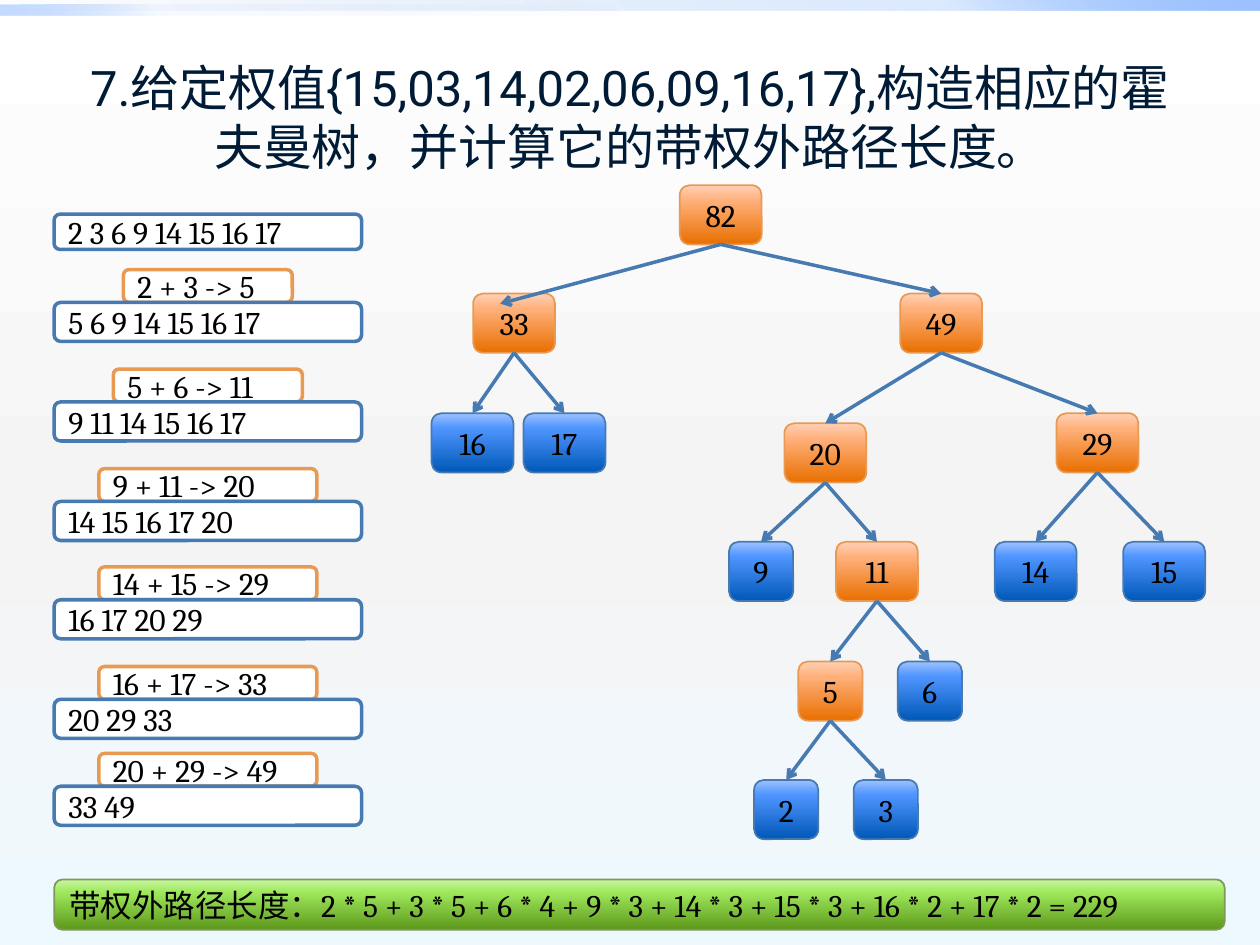
from pptx import Presentation
from pptx.dml.color import RGBColor
from pptx.enum.shapes import MSO_CONNECTOR, MSO_SHAPE
from pptx.enum.text import MSO_ANCHOR, PP_ALIGN
from pptx.oxml.ns import qn
from pptx.util import Inches, Pt
from lxml.etree import SubElement

TITLE = "7.给定权值{15,03,14,02,06,09,16,17},构造相应的霍夫曼树，并计算它的带权外路径长度。"
RESULT = ("带权外路径长度：2 * 5 + 3 * 5 + 6 * 4 + 9 * 3 + 14 * 3 + 15 * 3 "
          "+ 16 * 2 + 17 * 2 = 229")
START = "2 3 6 9 14 15 16 17"
STEPS = [
    ("2 + 3 -> 5", "5 6 9 14 15 16 17", 1.34, 2.40),
    ("5 + 6 -> 11", "9 11 14 15 16 17", 1.50, 3.19),
    ("9 + 11 -> 20", "14 15 16 17 20", 1.73, 3.98),
    ("14 + 15 -> 29", "16 17 20 29", 1.73, 4.76),
    ("16 + 17 -> 33", "20 29 33", 1.73, 5.55),
    ("20 + 29 -> 49", "33 49", 1.73, 6.24),
]
CENTERS = {
    82: (5.72, 1.47), 33: (4.08, 2.33), 49: (7.47, 2.33), 16: (3.75, 3.28),
    17: (4.48, 3.28), 20: (6.55, 3.36), 29: (8.71, 3.28), 9: (6.04, 4.30),
    11: (6.96, 4.30), 14: (8.22, 4.30), 15: (9.24, 4.30), 5: (6.59, 5.25),
    6: (7.38, 5.25), 2: (6.24, 6.19), 3: (7.03, 6.19),
}
CHILDREN = {82: (33, 49), 33: (16, 17), 49: (20, 29), 20: (9, 11),
            29: (14, 15), 11: (5, 6), 5: (2, 3)}
FREE_ENDS = {33: (3.97, 2.41)}
COLORS = {"blue": "477AB1", "orange": "E89A53", "green": "7B9B57",
          "white": "FFFFFF", "text": "000000", "title": "001B36"}
GRADIENTS = {
    "blue": [(0, "0058B7"), (75, "4F95FF"), (100, "9EC2FF")],
    "orange": [(0, "E96F00"), (75, "FFB17C"), (100, "FFD1B8")],
    "green": [(0, "5D981B"), (75, "9FE85C"), (100, "C8F7A1")],
    "page": [(0, "FFFFFF"), (55, "F4F4F4"), (100, "EEF9FF")],
    "band": [(0, "0058B7", 0), (75, "4F95FF", 20), (100, "9EC2FF", 100)],
    "half band": [(0, "0058B7", 0), (75, "4F95FF", 5), (100, "9EC2FF", 60)],
}
COLUMN_LEFT, COLUMN_WIDTH, SUM_HEIGHT = 0.43, 2.44, 0.26
NODE_HEIGHT = 0.47


def color(name):
    return RGBColor.from_string(COLORS[name])


def paint_gradient(fill, element, name, angle):
    fill.gradient()
    fill.gradient_angle = 360 - angle
    stops = next(element.iter(qn("a:gsLst")))
    for stop in list(stops):
        stops.remove(stop)
    for position, value, *alpha in GRADIENTS[name]:
        stop = SubElement(stops, qn("a:gs"), pos=str(position * 1000))
        shade = SubElement(stop, qn("a:srgbClr"), val=value)
        if alpha:
            SubElement(shade, qn("a:alpha"), val=str(alpha[0] * 1000))


def add_band(page, top, width, name, angle):
    band = page.shapes.add_shape(MSO_SHAPE.RECTANGLE, 0, Inches(top),
                                 Inches(width), Inches(0.08))
    band.shadow.inherit = False
    band.line.fill.background()
    paint_gradient(band.fill, band.element, name, angle)


def add_box(page, text, place, line, filled, align=PP_ALIGN.LEFT):
    box = page.shapes.add_shape(MSO_SHAPE.ROUNDED_RECTANGLE, *map(Inches, place))
    box.shadow.inherit = False
    if filled:
        paint_gradient(box.fill, box.element, line, 270)
    else:
        box.fill.solid()
        box.fill.fore_color.rgb = color("white")
    box.line.color.rgb = color(line)
    box.line.width = Pt(1 if filled else 2)
    frame = box.text_frame
    frame.word_wrap = True
    frame.vertical_anchor = MSO_ANCHOR.MIDDLE
    para = frame.paragraphs[0]
    para.text = text
    para.alignment = align
    para.font.size = Pt(18)
    para.font.name = "Cambria"
    para.font.color.rgb = color("text")
    return box


def add_node(page, value):
    center, top = CENTERS[value]
    width = 0.65 if value > 9 else 0.51
    return add_box(page, str(value), (center - width / 2, top, width, NODE_HEIGHT),
                   "orange" if value in CHILDREN else "blue", True, PP_ALIGN.CENTER)


def add_arrow(page, nodes, parent, child):
    end = FREE_ENDS.get(child, CENTERS[child])
    arrow = page.shapes.add_connector(MSO_CONNECTOR.STRAIGHT, 0, 0, *map(Inches, end))
    arrow.begin_connect(nodes[parent], 2)
    if child not in FREE_ENDS:
        arrow.end_connect(nodes[child], 0)
    arrow.line.color.rgb = color("blue")
    arrow.line.width = Pt(2)
    SubElement(arrow.line._get_or_add_ln(), qn("a:tailEnd"), type="arrow")
    SubElement(arrow.element.spPr, qn("a:effectLst"))


def add_title(page):
    title = page.shapes.title
    title.left, title.top, title.width, title.height = map(Inches, (0.5, 0.3, 9, 1.25))
    title.text_frame.vertical_anchor = MSO_ANCHOR.MIDDLE
    para = title.text_frame.paragraphs[0]
    para.text = TITLE
    para.alignment = PP_ALIGN.CENTER
    para.font.size = Pt(28)
    para.font.name = "Roboto"
    para.font.color.rgb = color("title")


def build():
    """Build the Huffman tree slide and save it."""
    deck = Presentation()
    deck.slide_width, deck.slide_height = Inches(10), Inches(7.5)
    page = deck.slides.add_slide(deck.slide_layouts[5])
    paint_gradient(page.background.fill, page.element, "page", 90)
    add_band(page, 0, 10, "band", 315)
    add_band(page, 0.04, 5, "half band", 135)
    add_title(page)

    nodes = {value: add_node(page, value) for value in CENTERS}
    for parent, pair in CHILDREN.items():
        for child in pair:
            add_arrow(page, nodes, parent, child)

    add_box(page, START, (COLUMN_LEFT, 1.7, COLUMN_WIDTH, 0.28), "blue", False)
    for total, state, width, top in STEPS:
        left = COLUMN_LEFT + (COLUMN_WIDTH - width) / 2
        add_box(page, total, (left, top - SUM_HEIGHT, width, SUM_HEIGHT), "orange", False)
        add_box(page, state, (COLUMN_LEFT, top, COLUMN_WIDTH, 0.31), "blue", False)
    add_box(page, RESULT, (COLUMN_LEFT, 6.98, 9.29, 0.4), "green", True)
    deck.save("out.pptx")


build()
